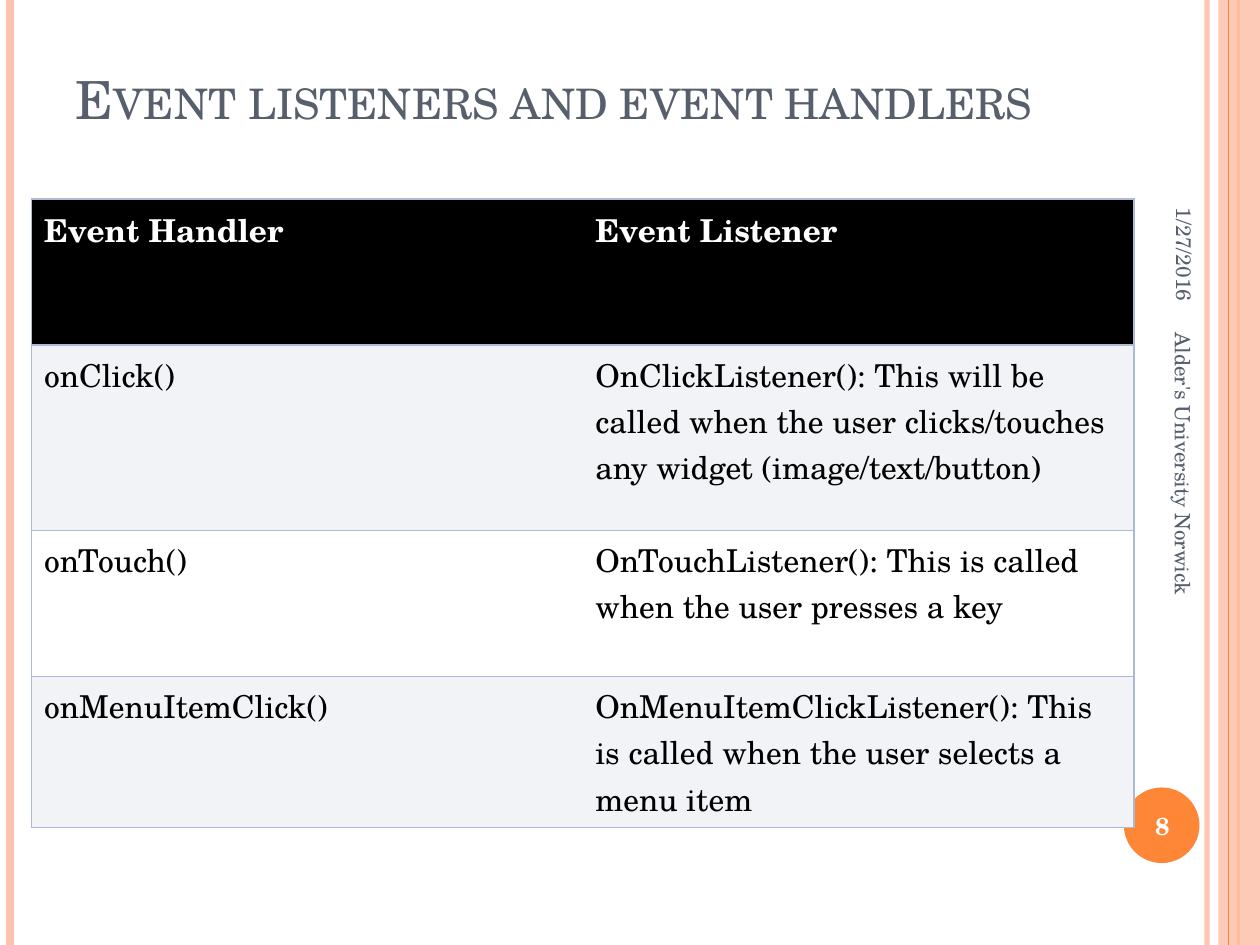
from typing import NamedTuple

from lxml import etree
from pptx import Presentation
from pptx.dml.color import RGBColor
from pptx.enum import shapes, text
from pptx.oxml import ns
from pptx.util import Inches, Pt

FONT = "TeX Gyre Schola"
PEACH, ORANGE, SLATE = "FEC3AE", "FE8637", "575F6D"
BLACK, WHITE, PALE, EDGE = "000000", "FFFFFF", "F2F3F7", "AEBAD5"


class Rule(NamedTuple):
    x: float
    hue: str
    width: float
    alpha: int = 100


class Label(NamedTuple):
    words: str
    box: tuple
    size: int
    hue: str
    align: text.PP_ALIGN
    turn: int = 0
    bold: bool = False


RULES = [
    Rule(9.58, PEACH, 3, 93),
    Rule(0.08, PEACH, 4.5),
    Rule(9.83, ORANGE, 1.5),
    Rule(9.75, ORANGE, 0.75),
]
LABELS = [
    Label("1/27/2016", (8.3, 1.18, 2.2, 0.42), 12, SLATE, text.PP_ALIGN.RIGHT, 90),
    Label("Alder's University Norwick", (7.64, 4.09, 3.5, 0.4), 12, SLATE,
          text.PP_ALIGN.LEFT, 90),
    Label("8", (8.89, 6.27, 0.67, 0.57), 14, WHITE, text.PP_ALIGN.CENTER, bold=True),
]
ROWS = [
    ("Event Handler", "Event Listener"),
    ("onClick()", "OnClickListener(): This will be called when the user "
                  "clicks/touches any widget (image/text/button)"),
    ("onTouch()", "OnTouchListener(): This is called when the user presses a key"),
    ("onMenuItemClick()", "OnMenuItemClickListener(): This is called when the user "
                          "selects a menu item"),
]
HEIGHTS = [1.16, 1.47, 1.16, 1.2]


def paint(fill, hue: str, alpha: int = 100) -> None:
    fill.solid()
    fill.fore_color.rgb = RGBColor.from_string(hue)
    if alpha < 100:
        color = fill._xPr.find(".//" + ns.qn("a:srgbClr"))
        etree.SubElement(color, ns.qn("a:alpha"), val=str(alpha * 1000))


def style(frame, size: int, hue: str, bold: bool = False) -> None:
    for par in frame.paragraphs:
        for run in par.runs:
            run.font.name, run.font.size, run.font.bold = FONT, Pt(size), bold
            paint(run.font.fill, hue)


def draw_rule(slide, rule: Rule) -> None:
    x = Inches(rule.x)
    line = slide.shapes.add_connector(shapes.MSO_CONNECTOR.STRAIGHT, x, 0, x, Inches(7.5))
    line.line.width = Pt(rule.width)
    paint(line.line.fill, rule.hue, rule.alpha)
    etree.SubElement(line._element.spPr, ns.qn("a:effectLst"))


def draw_shape(slide, kind, box: tuple, hue: str, alpha: int = 100) -> None:
    shape = slide.shapes.add_shape(kind, *map(Inches, box))
    shape.shadow.inherit = False
    paint(shape.fill, hue, alpha)
    shape.line.fill.background()


def draw_label(slide, label: Label) -> None:
    box = slide.shapes.add_textbox(*map(Inches, label.box))
    box.rotation = label.turn
    frame = box.text_frame
    frame.word_wrap = True
    frame.vertical_anchor = text.MSO_ANCHOR.MIDDLE
    frame.text = label.words
    frame.paragraphs[0].alignment = label.align
    style(frame, label.size, label.hue, label.bold)


def edge_cell(cell, sides: str) -> None:
    props = cell._tc.get_or_add_tcPr()
    for i, side in enumerate("LRTB"):
        line = etree.Element(ns.qn("a:ln" + side), w=str(Pt(1)))
        if side in sides:
            fill = etree.SubElement(line, ns.qn("a:solidFill"))
            etree.SubElement(fill, ns.qn("a:srgbClr"), val=EDGE)
        else:
            etree.SubElement(line, ns.qn("a:noFill"))
        props.insert(i, line)


def draw_table(slide) -> None:
    box = map(Inches, (0.25, 1.58, 8.75, sum(HEIGHTS)))
    table = slide.shapes.add_table(len(ROWS), 2, *box).table
    for r, (row, height) in enumerate(zip(ROWS, HEIGHTS)):
        table.rows[r].height = Inches(height)
        head = r == 0
        for c, words in enumerate(row):
            cell = table.cell(r, c)
            cell.text_frame.text = words
            style(cell.text_frame, 18, WHITE if head else BLACK, head)
            paint(cell.fill, BLACK if head else PALE if r % 2 else WHITE)
            edge_cell(cell, ("LTB", "RTB")[c])


def main() -> None:
    deck = Presentation()
    deck.slide_width, deck.slide_height = Inches(10), Inches(7.5)
    slide = deck.slides.add_slide(deck.slide_layouts[5])

    # Side bands and page number disc
    for rule in RULES[:3]:
        draw_rule(slide, rule)
    draw_shape(slide, shapes.MSO_SHAPE.RECTANGLE, (9.67, 0, 0.33, 7.5), PEACH, 87)
    draw_rule(slide, RULES[3])
    draw_shape(slide, shapes.MSO_SHAPE.OVAL, (8.92, 6.25, 0.6, 0.6), ORANGE)

    # Title in small capitals
    title = slide.shapes.title
    title.left, title.top, title.width, title.height = map(Inches, (0.5, 0.3, 8.17, 0.78))
    frame = title.text_frame
    frame.text = "Event listeners and event handlers"
    frame.auto_size = text.MSO_AUTO_SIZE.NONE
    frame.vertical_anchor = text.MSO_ANCHOR.BOTTOM
    frame.paragraphs[0].alignment = text.PP_ALIGN.LEFT
    style(frame, 30, SLATE)
    frame.paragraphs[0].runs[0].font._element.set("cap", "small")

    # Date, footer and page number
    for label in LABELS:
        draw_label(slide, label)

    # Handlers and their listeners
    draw_table(slide)
    deck.save("out.pptx")


if __name__ == "__main__":
    main()
